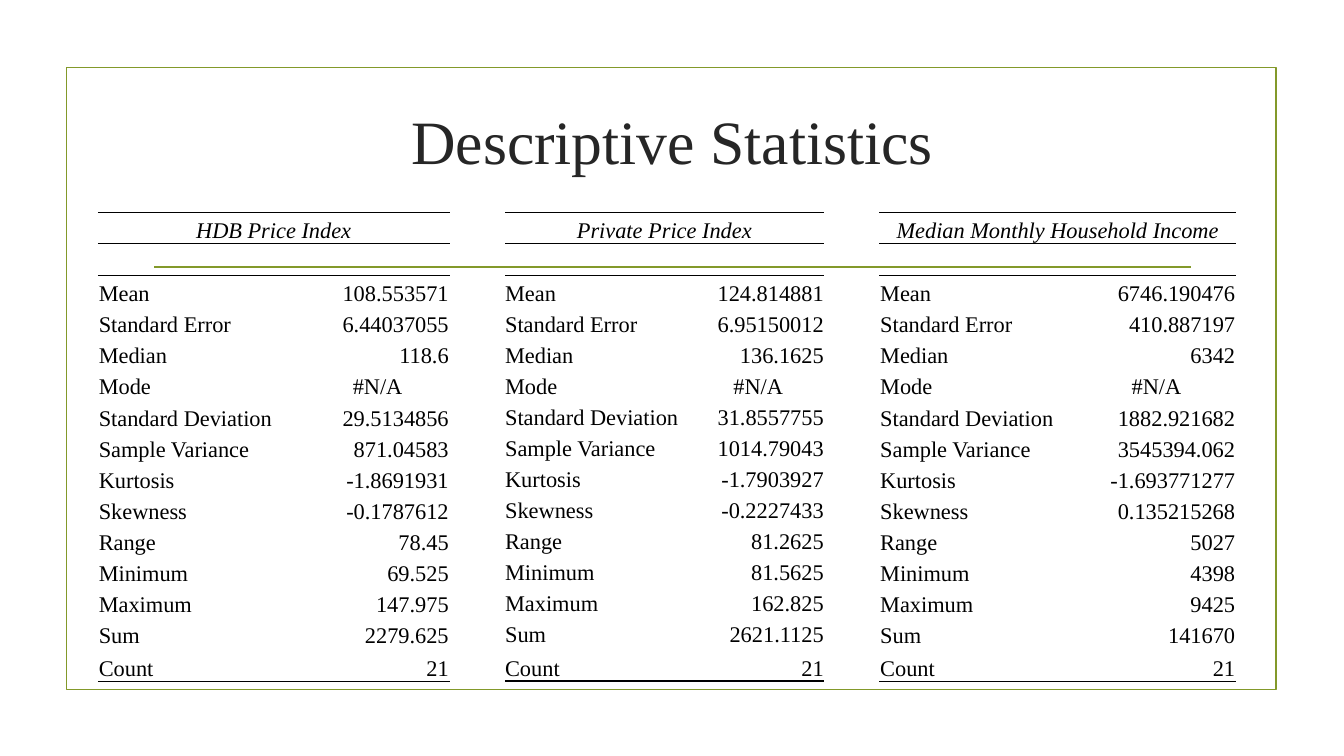
from lxml.etree import SubElement
from pptx import Presentation
from pptx.dml.color import RGBColor
from pptx.enum.shapes import MSO_CONNECTOR, MSO_SHAPE
from pptx.enum.text import MSO_ANCHOR, PP_ALIGN
from pptx.oxml.ns import qn
from pptx.util import Inches, Pt

# Content
TITLE = "Descriptive Statistics"
MEASURES = ["Mean", "Standard Error", "Median", "Mode", "Standard Deviation",
            "Sample Variance", "Kurtosis", "Skewness", "Range", "Minimum",
            "Maximum", "Sum", "Count"]
# heading, left, column widths, cell margin, values
TABLES = [
    ("Private Price Index", 5.01, (1.86, 1.3), 0,
     ["124.814881", "6.95150012", "136.1625", "#N/A", "31.8557755",
      "1014.79043", "-1.7903927", "-0.2227433", "81.2625", "81.5625",
      "162.825", "2621.1125", "21"]),
    ("HDB Price Index", 0.97, (2.06, 1.43), 0.01,
     ["108.553571", "6.44037055", "118.6", "#N/A", "29.5134856",
      "871.04583", "-1.8691931", "-0.1787612", "78.45", "69.525",
      "147.975", "2279.625", "21"]),
    ("Median Monthly Household Income", 8.72, (1.96, 1.58), 0.01,
     ["6746.190476", "410.887197", "6342", "#N/A", "1882.921682",
      "3545394.062", "-1.693771277", "0.135215268", "5027", "4398",
      "9425", "141670", "21"]),
]

# Style and layout
FONT = "Times New Roman"
GREEN, BLACK, DARK = "83992A", "000000", "262626"
NO_GRID_STYLE = "{2D5ABB26-0587-4C30-8999-92F81FD0307C}"
TABLE_TOP, TABLE_HEIGHT, LAST_ROW = 2.11, 4.65, 0.33
ROW_COUNT = len(MEASURES) + 2
ROW_HEIGHT = (TABLE_HEIGHT - LAST_ROW) / (ROW_COUNT - 1)


def rgb(value):
    return RGBColor.from_string(value)


def write(tf, text, size=16, color=BLACK, align=PP_ALIGN.LEFT, italic=False):
    p = tf.paragraphs[0]
    p.alignment = align
    r = p.add_run()
    r.text = text
    r.font.name = FONT
    r.font.size = Pt(size)
    r.font.italic = italic
    r.font.bold = False
    r.font.color.rgb = rgb(color)


def set_border(cell, side, width):
    ln = SubElement(cell._tc.get_or_add_tcPr(), qn(f"a:ln{side}"), w=str(Pt(width)))
    SubElement(SubElement(ln, qn("a:solidFill")), qn("a:srgbClr"), val=BLACK)


def add_statistics(s, heading, left, widths, margin, values):
    frame = s.shapes.add_table(ROW_COUNT, 2, Inches(left), Inches(TABLE_TOP),
                               Inches(sum(widths)), Inches(TABLE_HEIGHT))
    table = frame.table
    table.first_row = table.horz_banding = False
    table._tbl.tblPr.find(qn("a:tableStyleId")).text = NO_GRID_STYLE
    for column, width in zip(table.columns, widths):
        column.width = Inches(width)
    for i, row in enumerate(table.rows):
        row.height = Inches(LAST_ROW if i == ROW_COUNT - 1 else ROW_HEIGHT)

    # Rules above and below the heading and under the last row
    for col in range(2):
        set_border(table.cell(0, col), "T", 1)
        set_border(table.cell(0, col), "B", 0.5)
        set_border(table.cell(1, col), "T", 0.5)
        set_border(table.cell(ROW_COUNT - 1, col), "B", 1)
    for cell in table.iter_cells():
        cell.fill.background()
        cell.vertical_anchor = MSO_ANCHOR.BOTTOM
        cell.margin_left = cell.margin_right = cell.margin_top = Inches(margin)
        cell.margin_bottom = 0

    # Heading, then one row for each measure
    table.cell(0, 0).merge(table.cell(0, 1))
    write(table.cell(0, 0).text_frame, heading, align=PP_ALIGN.CENTER, italic=True)
    for i, (measure, value) in enumerate(zip(MEASURES, values), start=2):
        align = PP_ALIGN.CENTER if value == "#N/A" else PP_ALIGN.RIGHT
        write(table.cell(i, 0).text_frame, measure)
        write(table.cell(i, 1).text_frame, value, align=align)


def main():
    prs = Presentation()
    prs.slide_width, prs.slide_height = Inches(13.33), Inches(7.5)
    s = prs.slides.add_slide(prs.slide_layouts[5])

    # Frame and divider
    frame = s.shapes.add_shape(MSO_SHAPE.RECTANGLE, Inches(0.66), Inches(0.67),
                               Inches(12), Inches(6.17))
    frame.shadow.inherit = False
    frame.fill.background()
    divider = s.shapes.add_connector(MSO_CONNECTOR.STRAIGHT, Inches(1.53), Inches(2.65),
                                     Inches(11.81), Inches(2.65))
    for sp in (frame, divider):
        sp.line.color.rgb = rgb(GREEN)
        sp.line.width = Pt(1.25)
    SubElement(divider._element.spPr, qn("a:effectLst"))

    # Title
    title = s.shapes.title
    title.left, title.top = Inches(0.92), Inches(0.66)
    title.width, title.height = Inches(11.5), Inches(1.45)
    title.text_frame.vertical_anchor = MSO_ANCHOR.MIDDLE
    write(title.text_frame, TITLE, size=44, color=DARK, align=PP_ALIGN.CENTER)

    # Tables
    for entry in TABLES:
        add_statistics(s, *entry)

    prs.save("out.pptx")


if __name__ == "__main__":
    main()
